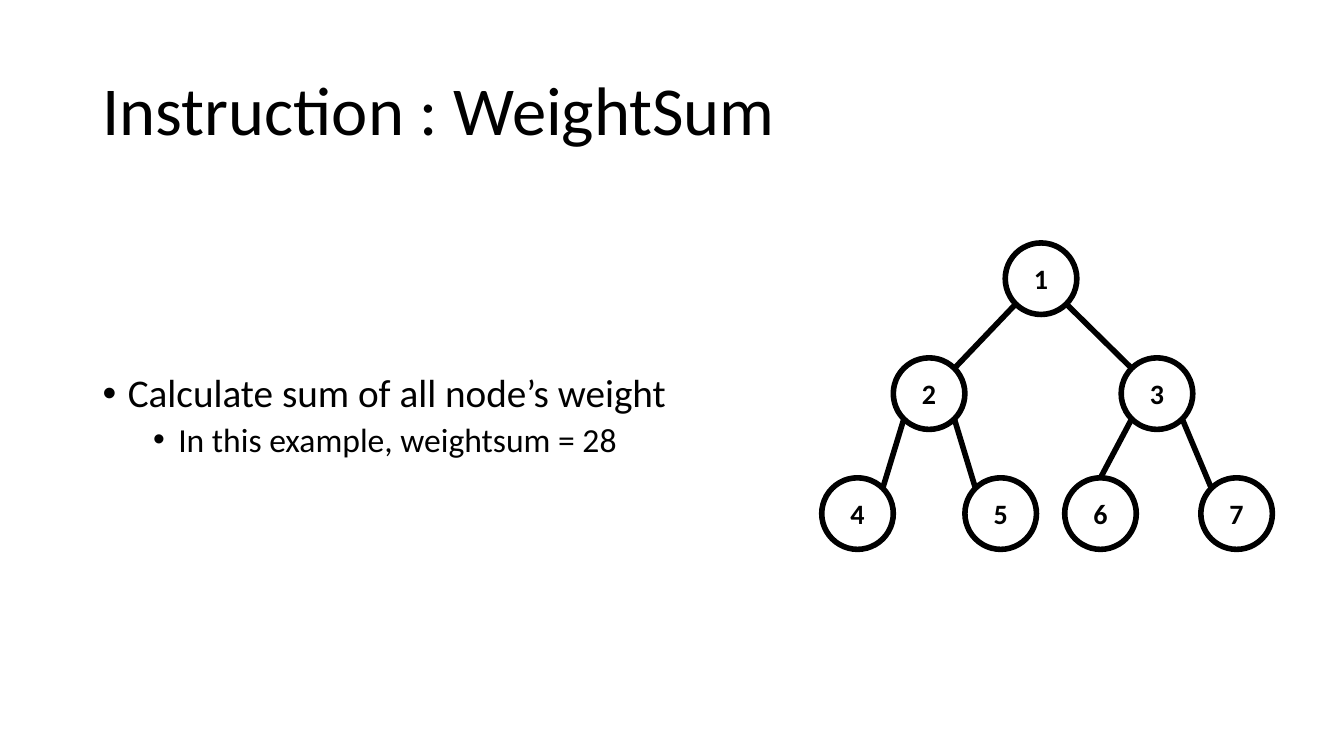
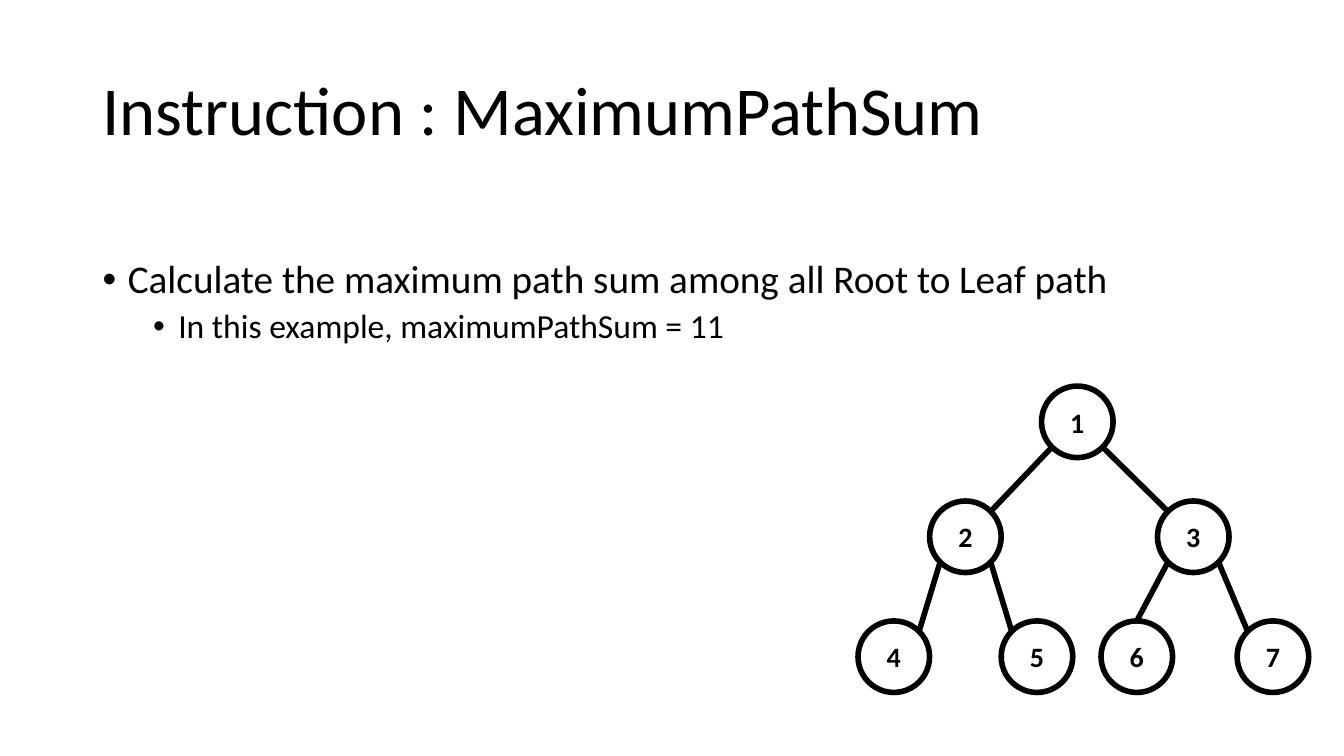
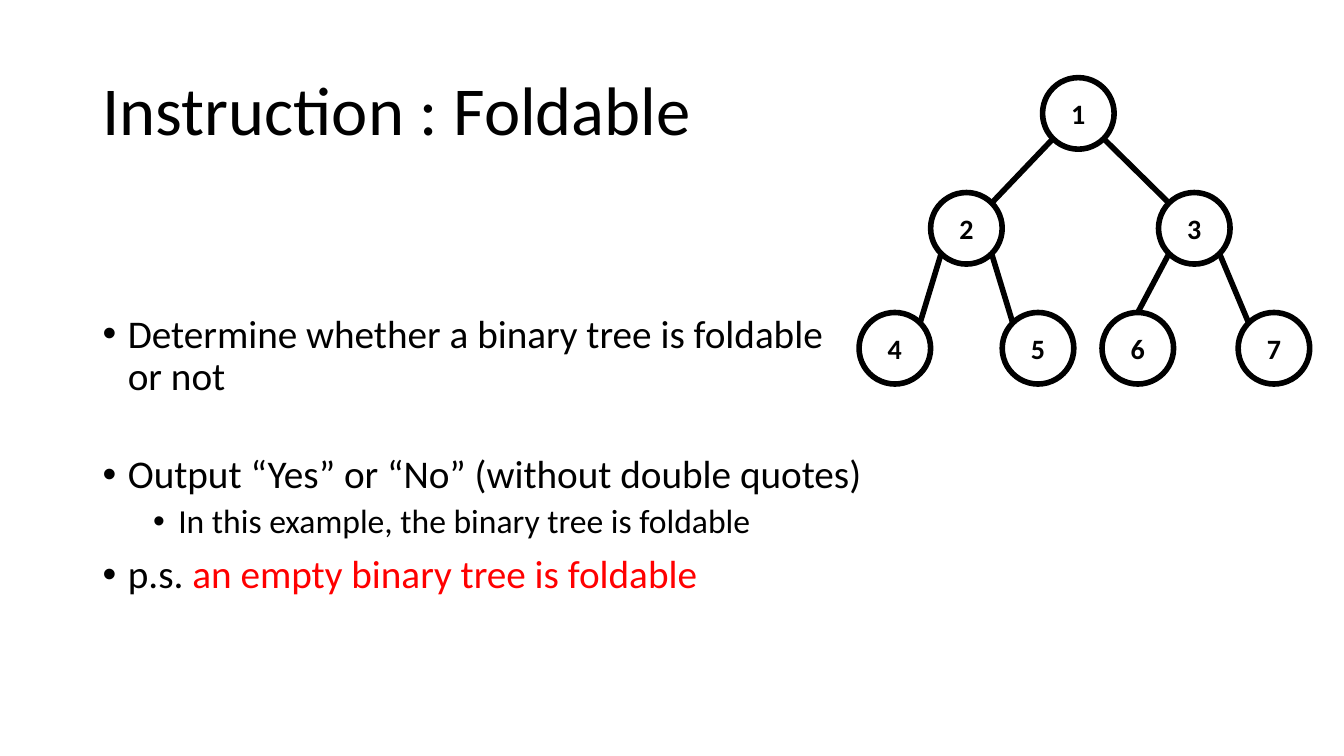
from lxml.etree import SubElement
from pptx import Presentation
from pptx.dml.color import RGBColor
from pptx.enum.shapes import MSO_CONNECTOR, MSO_SHAPE
from pptx.enum.text import MSO_ANCHOR, PP_ALIGN
from pptx.oxml.ns import qn
from pptx.util import Inches, Pt

BLACK = RGBColor(0x00, 0x00, 0x00)
RED = RGBColor(0xFF, 0x00, 0x00)
FONT = "Calibri"
LINE_WIDTH = Pt(4)
LEFT, WIDTH = 0.92, 11.5

DIAMETER = 0.71
DIAGONAL = 0.25
NODE_OFFSETS = {
    1: (0, 0),
    2: (-1.11, 1.14),
    3: (1.15, 1.14),
    4: (-1.82, 2.33),
    5: (-0.4, 2.33),
    6: (0.59, 2.33),
    7: (1.94, 2.33),
}
TOP_JOINED_NODE = 6

LEVEL_SIZES = (28, 24)
LEVEL_INDENTS = (0.25, 0.75)
LEVEL_SPACES = (10, 5)
SECTION_SPACE = 40


class Deck:
    def __init__(self):
        self.presentation = Presentation()
        self.presentation.slide_width = Inches(13.33)
        self.presentation.slide_height = Inches(7.5)
        self.slide = None

    def add_slide(self, title):
        self.slide = self.presentation.slides.add_slide(self.presentation.slide_layouts[6])
        text_frame = self.text_box(0.4, 1.45)
        text_frame.vertical_anchor = MSO_ANCHOR.MIDDLE
        paragraph = text_frame.paragraphs[0]
        paragraph.text = title
        paragraph.line_spacing = 0.9
        self.style_run(paragraph.runs[0], 49)

    def text_box(self, top, height):
        shape = self.slide.shapes.add_textbox(
            Inches(LEFT), Inches(top), Inches(WIDTH), Inches(height))
        shape.text_frame.word_wrap = True
        return shape.text_frame

    def style_run(self, run, size, color=BLACK, bold=False):
        run.font.name = FONT
        run.font.size = Pt(size)
        run.font.color.rgb = color
        run.font.bold = bold

    def bullets(self, top, items):
        text_frame = self.text_box(top, 6.75 - top)
        for index, (level, text, *extra) in enumerate(items):
            paragraph = text_frame.add_paragraph() if index else text_frame.paragraphs[0]
            paragraph.text = text
            paragraph.level = level
            paragraph.line_spacing = 0.9
            paragraph.space_before = Pt(LEVEL_SPACES[level] if index else 0)
            for run in paragraph.runs:
                self.style_run(run, LEVEL_SIZES[level])
            for highlight in extra:
                run = paragraph.add_run()
                run.text = highlight
                self.style_run(run, LEVEL_SIZES[level], RED)
            self.add_bullet(paragraph, level)
        return text_frame

    def add_bullet(self, paragraph, level):
        properties = paragraph._p.get_or_add_pPr()
        properties.set("marL", str(Inches(LEVEL_INDENTS[level])))
        properties.set("indent", str(-Inches(0.25)))
        SubElement(properties, qn("a:buFont"), typeface="Arial")
        SubElement(properties, qn("a:buChar"), char="•")

    def node(self, group, number, left, top):
        shape = group.shapes.add_shape(
            MSO_SHAPE.OVAL, Inches(left), Inches(top), Inches(DIAMETER), Inches(DIAMETER))
        shape.shadow.inherit = False
        shape.fill.background()
        shape.line.color.rgb = BLACK
        shape.line.width = LINE_WIDTH
        text_frame = shape.text_frame
        text_frame.text = str(number)
        text_frame.vertical_anchor = MSO_ANCHOR.MIDDLE
        paragraph = text_frame.paragraphs[0]
        paragraph.alignment = PP_ALIGN.CENTER
        self.style_run(paragraph.runs[0], 20, bold=True)
        return shape

    def edge(self, group, start, end):
        connector = group.shapes.add_connector(
            MSO_CONNECTOR.STRAIGHT, *(Inches(value) for value in start + end))
        connector.line.color.rgb = BLACK
        connector.line.width = LINE_WIDTH
        SubElement(connector._element.spPr, qn("a:effectLst"))
        return connector

    def tree(self, left, top):
        group = self.slide.shapes.add_group_shape()
        nodes, centers = {}, {}
        for number, (across, down) in NODE_OFFSETS.items():
            x, y = left + across, top + down
            nodes[number] = self.node(group, number, x, y)
            centers[number] = (x + DIAMETER / 2, y + DIAMETER / 2)
        for child in range(2, len(NODE_OFFSETS) + 1):
            parent_x, parent_y = centers[child // 2]
            child_x, child_y = centers[child]
            reach = DIAGONAL if child % 2 else -DIAGONAL
            connector = self.edge(
                group,
                (parent_x + reach, parent_y + DIAGONAL),
                (child_x - reach, child_y - DIAGONAL))
            if child == TOP_JOINED_NODE:
                connector.end_connect(nodes[child], 0)


def main():
    deck = Deck()

    deck.add_slide("Instruction : WeightSum")
    deck.tree(9.97, 2.41)
    deck.bullets(3.66, [
        (0, "Calculate sum of all node’s weight"),
        (1, "In this example, weightsum = 28"),
    ])

    deck.add_slide("Instruction : MaximumPathSum")
    deck.tree(10.33, 3.83)
    deck.bullets(2.53, [
        (0, "Calculate the maximum path sum among all Root to Leaf path"),
        (1, "In this example, maximumPathSum = 11"),
    ])

    deck.add_slide("Instruction : Foldable")
    text_frame = deck.bullets(3.07, [
        (0, "Determine whether a binary tree is foldable\vor not"),
        (0, "Output “Yes” or “No” (without double quotes)"),
        (1, "In this example, the binary tree is foldable"),
        (0, "p.s. ", "an empty binary tree is foldable"),
    ])
    text_frame.paragraphs[1].space_before = Pt(SECTION_SPACE)
    deck.tree(10.34, 0.77)

    deck.presentation.save("out.pptx")


if __name__ == "__main__":
    main()
